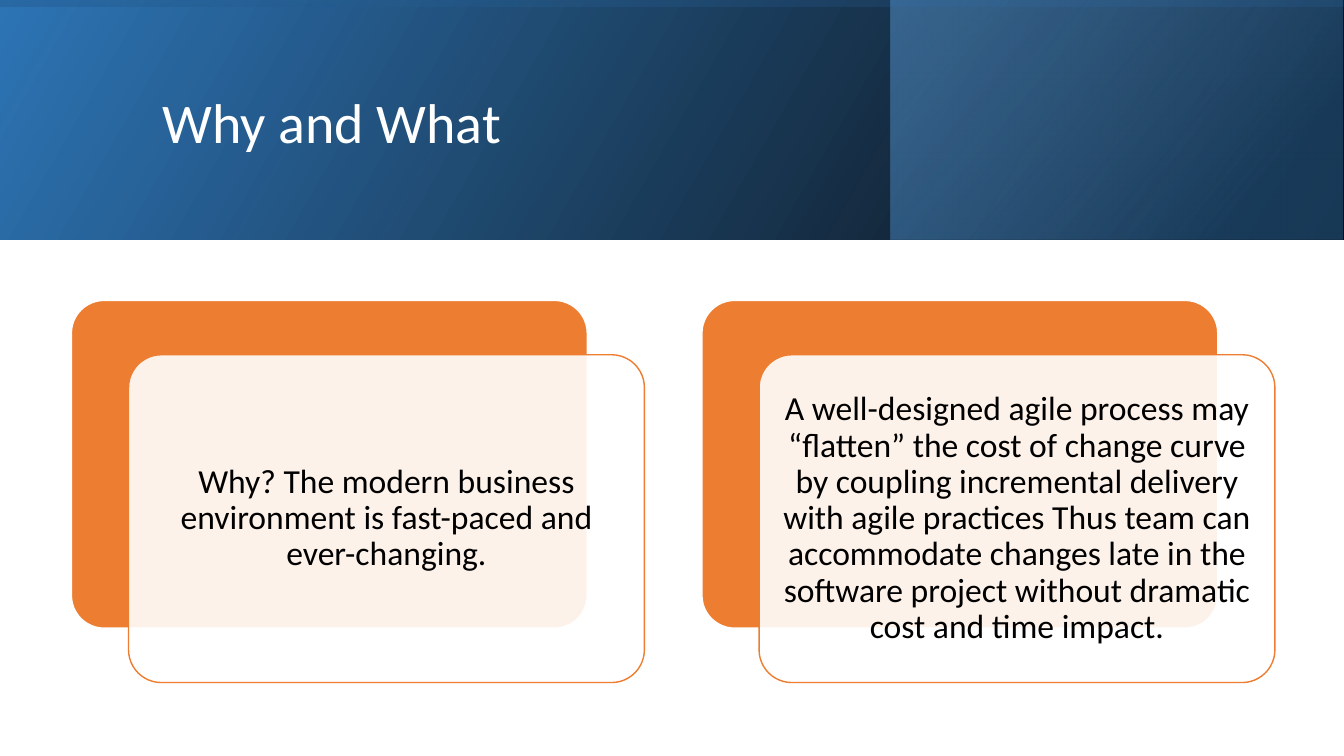
from lxml import etree
from pptx import Presentation
from pptx.dml.color import RGBColor
from pptx.enum.shapes import MSO_SHAPE
from pptx.enum.text import MSO_ANCHOR, MSO_AUTO_SIZE, PP_ALIGN
from pptx.oxml.ns import qn
from pptx.util import Cm, Pt

RECTANGLE = MSO_SHAPE.RECTANGLE
ROUNDED = MSO_SHAPE.ROUNDED_RECTANGLE
MIDDLE = MSO_ANCHOR.MIDDLE
NO_AUTOFIT = MSO_AUTO_SIZE.NONE
LEFT, CENTER = PP_ALIGN.LEFT, PP_ALIGN.CENTER

FONT = "Calibri"
WHITE, BLACK, ORANGE = "FFFFFF", "000000", "ED7D31"
SLIDE_WIDTH, SLIDE_HEIGHT = 33.87, 19.05
BANNER_HEIGHT = 6.03
PANEL_LEFT, PANEL_WIDTH = 22.45, 11.38

CARD_LEFT, CARD_TOP = 1.8, 7.57
CARD_WIDTH, CARD_HEIGHT = 13, 8.26
CARD_PITCH = 15.89
FRONT_SHIFT_X, FRONT_SHIFT_Y = 1.44, 1.37
CARD_INSET = 0.25

CARD_TEXTS = [
    "Why? The modern business environment is fast-paced and ever-changing.",
    "A well-designed agile process may “flatten” the cost of change curve by "
    "coupling incremental delivery with agile practices Thus team can "
    "accommodate changes late in the software project without dramatic cost "
    "and time impact.",
]


def rgb(value):
    return RGBColor.from_string(value)


def add_alpha(color_element, percent):
    alpha = etree.SubElement(color_element, qn("a:alpha"))
    alpha.set("val", str(percent * 1000))


def write_text(frame, text, size, color, align, space_after=0):
    frame.word_wrap = True
    frame.auto_size = NO_AUTOFIT
    frame.vertical_anchor = MIDDLE
    para = frame.paragraphs[0]
    para.alignment = align
    para.line_spacing = 0.9
    para.space_after = Pt(space_after)
    span = para.add_run()
    span.text = text
    span.font.name = FONT
    span.font.size = Pt(size)
    span.font.color.rgb = rgb(color)


def add_box(slide, kind, left, top, width, height):
    box = slide.shapes.add_shape(kind, Cm(left), Cm(top), Cm(width), Cm(height))
    box.shadow.inherit = False
    return box


def add_gradient_band(slide, left, top, width, height, stops, angle, rotation=0):
    """Add a mirrored rectangle; each stop is (position, colour, opacity)."""
    band = add_box(slide, RECTANGLE, left, top, width, height)
    band.rotation = rotation
    band.line.fill.background()
    properties = band._element.spPr
    properties.find(qn("a:xfrm")).set("flipH", "1")
    gradient = etree.Element(qn("a:gradFill"))
    stop_list = etree.SubElement(gradient, qn("a:gsLst"))
    for position, color, opacity in stops:
        stop = etree.SubElement(stop_list, qn("a:gs"), pos=str(position * 1000))
        add_alpha(etree.SubElement(stop, qn("a:srgbClr"), val=color), opacity)
    etree.SubElement(gradient, qn("a:lin"), ang=str(angle * 60000), scaled="0")
    properties.find(qn("a:prstGeom")).addnext(gradient)


def add_banner(slide):
    add_gradient_band(slide, 0, 0, SLIDE_WIDTH, BANNER_HEIGHT,
                      [(0, BLACK, 96), (100, "2E75B6", 100)], 330)
    add_gradient_band(slide, PANEL_LEFT, 0, PANEL_WIDTH, BANNER_HEIGHT,
                      [(19, "1F4E79", 68), (100, "5B9BD5", 48)], 320)
    # A quarter turn about the centre lays this upright band over the banner.
    turn_shift = (SLIDE_WIDTH - BANNER_HEIGHT) / 2
    add_gradient_band(slide, turn_shift, -turn_shift, BANNER_HEIGHT, SLIDE_WIDTH,
                      [(23, "2E75B6", 16), (99, BLACK, 45)], 350, rotation=270)


def place_title(slide, text):
    title = slide.shapes.title
    title.left, title.top = Cm(3.84), Cm(0.97)
    title.width, title.height = Cm(27), Cm(4.37)
    write_text(title.text_frame, text, 40, WHITE, LEFT)
    slide.shapes._spTree.append(title._element)


def add_rounded(slide, left, top, fill, line):
    box = add_box(slide, ROUNDED, left, top, CARD_WIDTH, CARD_HEIGHT)
    box.adjustments[0] = 0.1
    box.fill.solid()
    box.fill.fore_color.rgb = rgb(fill)
    box.line.color.rgb = rgb(line)
    box.line.width = Pt(1)
    return box


def add_card(slide, left, text):
    add_rounded(slide, left, CARD_TOP, ORANGE, WHITE)
    front = add_rounded(slide, left + FRONT_SHIFT_X, CARD_TOP + FRONT_SHIFT_Y,
                        WHITE, ORANGE)
    fill = front._element.spPr.find(qn("a:solidFill"))
    add_alpha(fill.find(qn("a:srgbClr")), 90)
    frame = front.text_frame
    frame.margin_left = frame.margin_right = Cm(CARD_INSET)
    frame.margin_top = frame.margin_bottom = Cm(CARD_INSET)
    write_text(frame, text, 24, BLACK, CENTER, space_after=8.4)


def main():
    deck = Presentation()
    deck.slide_width, deck.slide_height = Cm(SLIDE_WIDTH), Cm(SLIDE_HEIGHT)
    page = deck.slides.add_slide(deck.slide_layouts.get_by_name("Title Only"))
    add_banner(page)
    place_title(page, "Why and What")
    for index, text in enumerate(CARD_TEXTS):
        add_card(page, CARD_LEFT + index * CARD_PITCH, text)
    deck.save("out.pptx")


if __name__ == "__main__":
    main()
